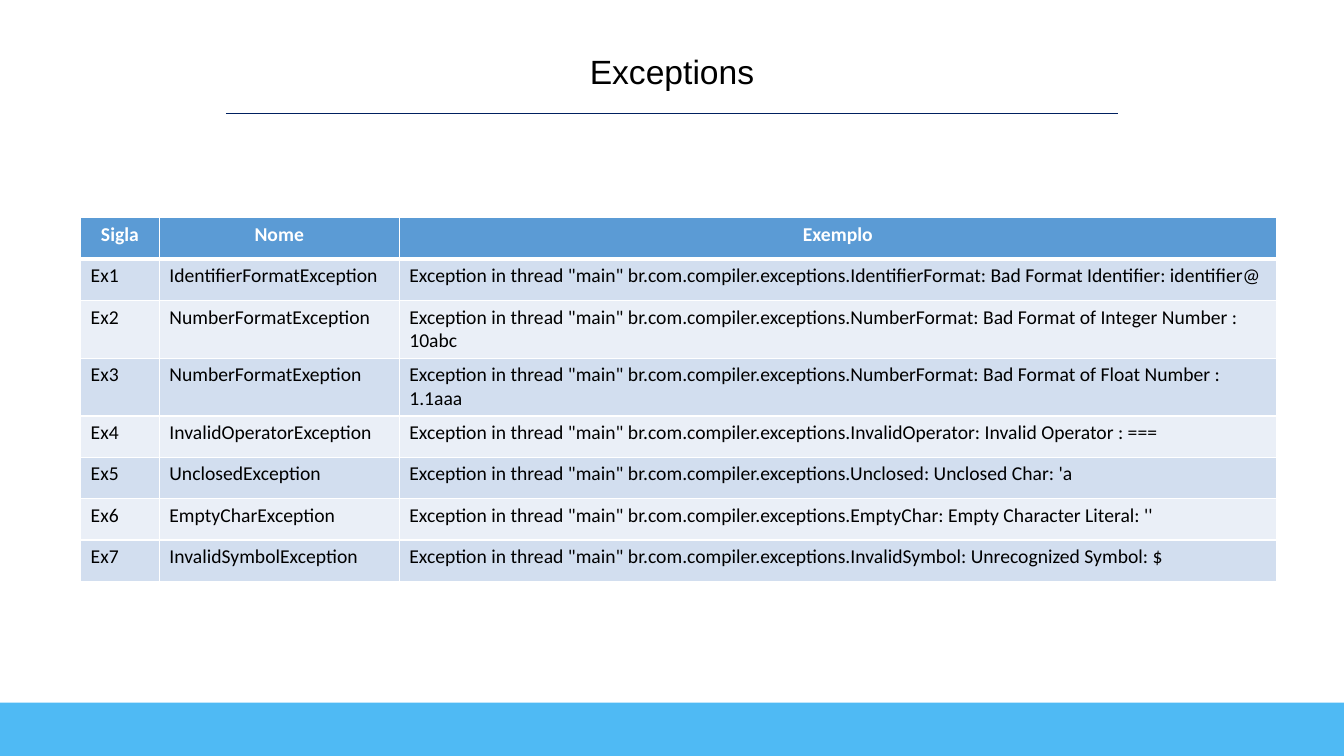
"""Build the slide that lists the compiler exceptions."""
from dataclasses import dataclass

from lxml.etree import SubElement as Sub
from pptx import Presentation
from pptx.dml.color import RGBColor as RGB
from pptx.enum.shapes import MSO_CONNECTOR as Conn, MSO_SHAPE as Shape
from pptx.enum.text import MSO_ANCHOR as Anchor, PP_ALIGN as Align
from pptx.oxml.ns import qn
from pptx.util import Inches, Pt

TITLE = "Exceptions"
HEADS = ("Sigla", "Nome", "Exemplo")
LEAD = 'Exception in thread "main" br.com.compiler.exceptions.'
ERRORS = [
    ("IdentifierFormatException", "IdentifierFormat: Bad Format Identifier: identifier@"),
    ("NumberFormatException", "NumberFormat: Bad Format of Integer Number : 10abc"),
    ("NumberFormatExeption", "NumberFormat: Bad Format of Float Number : 1.1aaa"),
    ("InvalidOperatorException", "InvalidOperator: Invalid Operator : ==="),
    ("UnclosedException", "Unclosed: Unclosed Char: 'a"),
    ("EmptyCharException", "EmptyChar: Empty Character Literal: ''"),
    ("InvalidSymbolException", "InvalidSymbol: Unrecognized Symbol: $"),
]
WIDTHS = (0.78, 2.38, 8.7)
ROW = 0.41


@dataclass(frozen=True)
class Theme:
    """Colours, fonts and sizes of the slide."""
    black: str = "000000"
    white: str = "FFFFFF"
    rule: str = "002060"
    band: str = "4FBAF4"
    head: str = "5B9BD5"
    rows: tuple = ("D2DEEF", "EAEFF7")
    title_font: str = "Arial"
    body_font: str = "Calibri"
    title_size: int = 24
    body_size: int = 14


theme = Theme()


def box(*sides):
    """Turn inches into lengths."""
    return [Inches(side) for side in sides]


def style(par, face, size, color, bold=False, align=Align.LEFT):
    """Format a whole paragraph."""
    par.alignment = align
    font = par.font
    font.name, font.size, font.bold = face, Pt(size), bold
    font.color.rgb = RGB.from_string(color)


def edge(cell, tag, width):
    """Draw one white cell border."""
    line = Sub(cell._tc.get_or_add_tcPr(), qn(f"a:{tag}"), w=str(Pt(width)))
    fill = Sub(line, qn("a:solidFill"))
    Sub(fill, qn("a:srgbClr"), val=theme.white)


def add_title(slide):
    """Fill the title and draw the rule below it."""
    title = slide.shapes.title
    title.left, title.top, title.width, title.height = box(2.24, 0.45, 8.85, 0.5)
    frame = title.text_frame
    frame.text = TITLE
    frame.vertical_anchor = Anchor.MIDDLE
    style(frame.paragraphs[0], theme.title_font, theme.title_size,
          theme.black, align=Align.CENTER)
    rule = slide.shapes.add_connector(Conn.STRAIGHT, *box(2.24, 1.12, 11.09, 1.12))
    rule.line.color.rgb = RGB.from_string(theme.rule)
    rule.line.width = Pt(0.5)
    Sub(rule._element.spPr, qn("a:effectLst"))


def add_band(slide):
    """Draw the band at the foot."""
    band = slide.shapes.add_shape(Shape.RECTANGLE, *box(0, 6.97, 13.33, 0.53))
    band.shadow.inherit = False
    band.fill.solid()
    band.fill.fore_color.rgb = RGB.from_string(theme.band)
    band.line.fill.background()


def add_grid(slide):
    """Lay out the table of exceptions."""
    rows = [HEADS] + [(f"Ex{num}", name, LEAD + case)
                      for num, (name, case) in enumerate(ERRORS, 1)]
    grid = slide.shapes.add_table(
        len(rows), len(HEADS), *box(0.8, 2.16, sum(WIDTHS), ROW * len(rows))).table
    for col, width in zip(grid.columns, WIDTHS):
        col.width = Inches(width)
    for r, row in enumerate(rows):
        grid.rows[r].height = Inches(ROW)
        head = r == 0
        fill = theme.head if head else theme.rows[(r - 1) % 2]
        for c, text in enumerate(row):
            cell = grid.cell(r, c)
            cell.text = text
            edges = {"lnL": 1, "lnR": 1, "lnT": 3 if r == 1 else 1, "lnB": 3 if head else 1}
            for tag, width in edges.items():
                edge(cell, tag, width)
            cell.fill.solid()
            cell.fill.fore_color.rgb = RGB.from_string(fill)
            style(cell.text_frame.paragraphs[0], theme.body_font, theme.body_size,
                  theme.white if head else theme.black, head,
                  Align.CENTER if head else Align.LEFT)


deck = Presentation()
deck.slide_width, deck.slide_height = box(13.33, 7.5)
page = deck.slides.add_slide(deck.slide_layouts[5])
add_title(page)
add_band(page)
add_grid(page)
deck.save("out.pptx")
